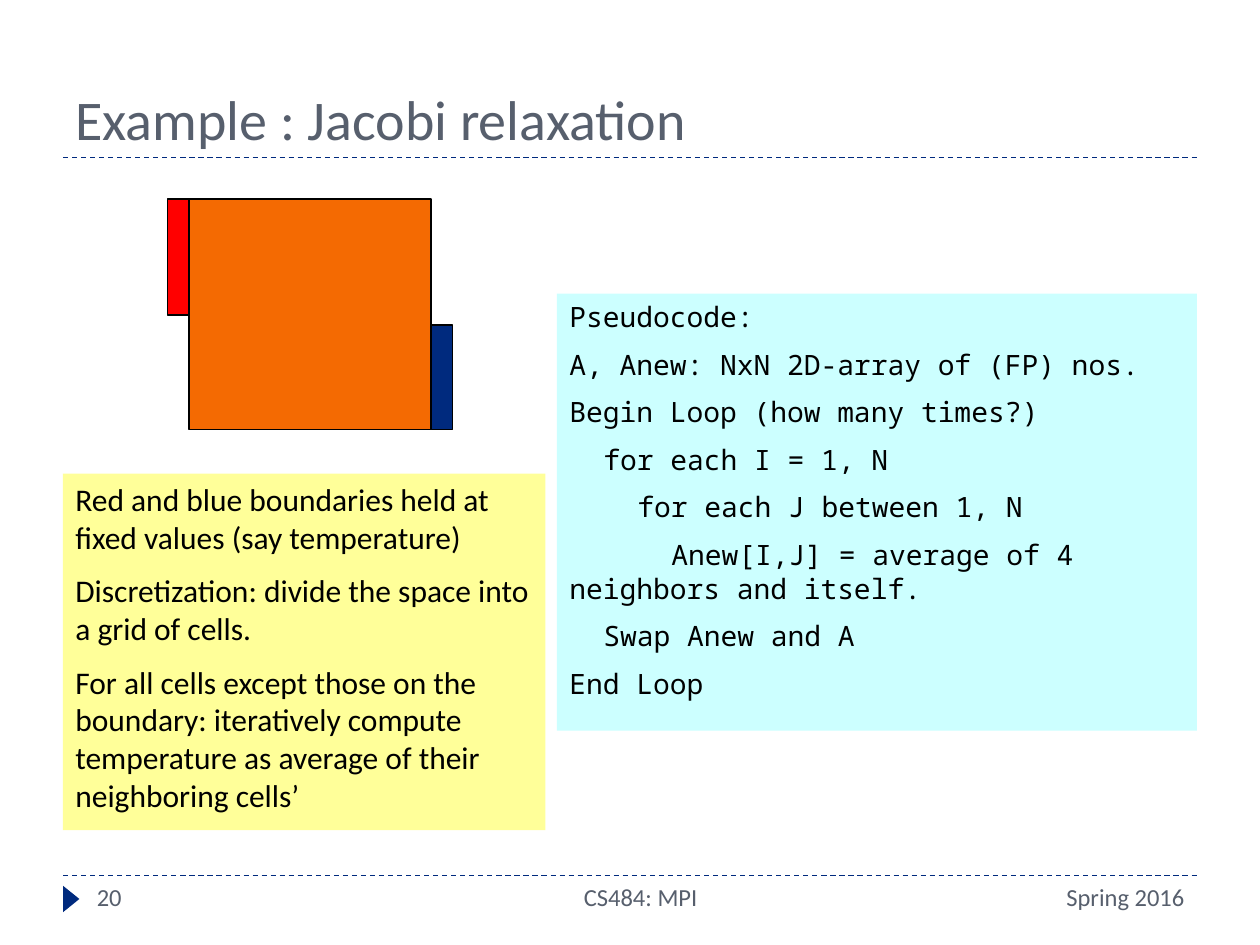
import pptx
import pptx.util
import pptx.dml.color
import pptx.enum.dml
import pptx.enum.shapes
import pptx.enum.text
import pptx.oxml.ns
import lxml.etree

Inches = pptx.util.Inches
ALIGN = pptx.enum.text.PP_ALIGN
ANCHOR = pptx.enum.text.MSO_ANCHOR
SHAPE = pptx.enum.shapes.MSO_SHAPE

NAVY, SLATE, BLACK = "002A7E", "575F6D", "000000"
BODY_FONT, CODE_FONT = "Calibri", "Noto Sans Mono"
CODE_INDENT = 0.27

TITLE = "Example : Jacobi relaxation"
RULE_TOPS = [1.25, 6.95]
FOOTERS = [
    ("20", 0.67, 2.17, ALIGN.LEFT),
    ("CS484: MPI", 3.17, 3.83, ALIGN.CENTER),
    ("Spring 2016", 7, 2.5, ALIGN.RIGHT),
]
REGIONS = [
    ((1.5, 1.58, 1.92, 1.83), "F46A02"),
    ((1.33, 1.58, 0.17, 0.92), "FF0000"),
    ((3.42, 2.58, 0.17, 0.83), NAVY),
]
NOTES = [
    (0, "Red and blue boundaries held at fixed values (say temperature)"),
    (0, "Discretization: divide the space into a grid of cells."),
    (0, "For all cells except those on the boundary: iteratively compute "
        "temperature as average of their neighboring cells’"),
]
PSEUDOCODE = [
    (0, "Pseudocode:"),
    (0, "A, Anew: NxN 2D-array of (FP) nos."),
    (0, "Begin Loop (how many times?)"),
    (1, "for each I = 1, N"),
    (2, "for each J between 1, N"),
    (3, "Anew[I,J] = average of 4 neighbors and itself."),
    (1, "Swap Anew and A"),
    (0, "End Loop"),
]


def rgb(value):
    return pptx.dml.color.RGBColor.from_string(value)


def add_shape(shapes, kind, box, fill, line=None):
    shape = shapes.add_shape(kind, *map(Inches, box))
    shape.shadow.inherit = False
    shape.fill.solid()
    shape.fill.fore_color.rgb = rgb(fill)
    if line:
        shape.line.color.rgb = rgb(line)
        shape.line.width = pptx.util.Pt(0.75)
    else:
        shape.line.fill.background()
    return shape


def add_rule(slide, top):
    rule = slide.shapes.add_connector(
        pptx.enum.shapes.MSO_CONNECTOR.STRAIGHT,
        Inches(0.5), Inches(top), Inches(9.5), Inches(top))
    rule.line.color.rgb = rgb(NAVY)
    rule.line.width = pptx.util.Pt(0.75)
    rule.line.dash_style = pptx.enum.dml.MSO_LINE.DASH
    lxml.etree.SubElement(rule.element.spPr, pptx.oxml.ns.qn("a:effectLst"))


def write(shape, lines, size, color, font=BODY_FONT, align=ALIGN.LEFT, anchor=ANCHOR.TOP):
    frame = shape.text_frame
    frame.word_wrap = True
    frame.vertical_anchor = anchor
    for index, (level, text) in enumerate(lines):
        paragraph = frame.add_paragraph() if index else frame.paragraphs[0]
        paragraph.alignment = align
        if index:
            paragraph.space_before = pptx.util.Pt(size / 2)
        if level:
            properties = paragraph._p.get_or_add_pPr()
            properties.set("marL", "0")
            properties.set("indent", str(Inches(level * CODE_INDENT)))
        run = paragraph.add_run()
        run.text = text
        run.font.name = font
        run.font.size = pptx.util.Pt(size)
        run.font.color.rgb = rgb(color)


def add_label(slide, box, text, size, **options):
    label = slide.shapes.add_textbox(*map(Inches, box))
    write(label, [(0, text)], size, SLATE, **options)


def main():
    presentation = pptx.Presentation()
    presentation.slide_width = Inches(10)
    presentation.slide_height = Inches(7.5)
    slide = presentation.slides.add_slide(presentation.slide_layouts[6])

    for top in RULE_TOPS:
        add_rule(slide, top)
    marker = add_shape(slide.shapes, SHAPE.ISOSCELES_TRIANGLE, (0.46, 7.07, 0.21, 0.13), NAVY)
    marker.rotation = 90

    add_label(slide, (0.5, 0.25, 9, 1), TITLE, 32, anchor=ANCHOR.BOTTOM)
    for text, left, width, align in FOOTERS:
        add_label(slide, (left, 6.95, width, 0.4), text, 14, align=align)

    code_panel = add_shape(slide.shapes, SHAPE.RECTANGLE, (4.42, 2.33, 5.08, 3.47), "CCFFFF")
    write(code_panel, PSEUDOCODE, 16, BLACK, font=CODE_FONT)

    plate = slide.shapes.add_group_shape()
    for box, fill in REGIONS:
        add_shape(plate.shapes, SHAPE.RECTANGLE, box, fill, BLACK)

    notes_panel = add_shape(slide.shapes, SHAPE.RECTANGLE, (0.5, 3.76, 3.83, 2.83), "FFFF99")
    write(notes_panel, NOTES, 18, BLACK)

    presentation.save("out.pptx")


if __name__ == "__main__":
    main()
